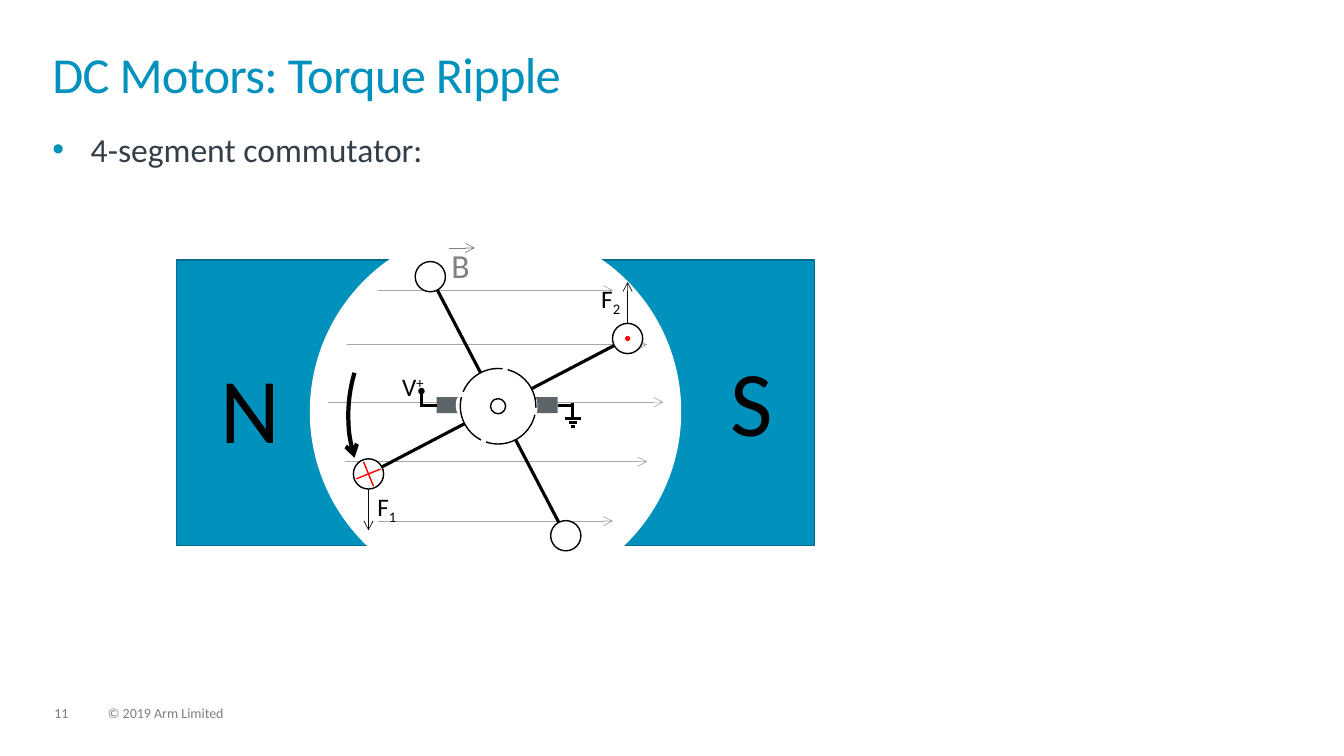
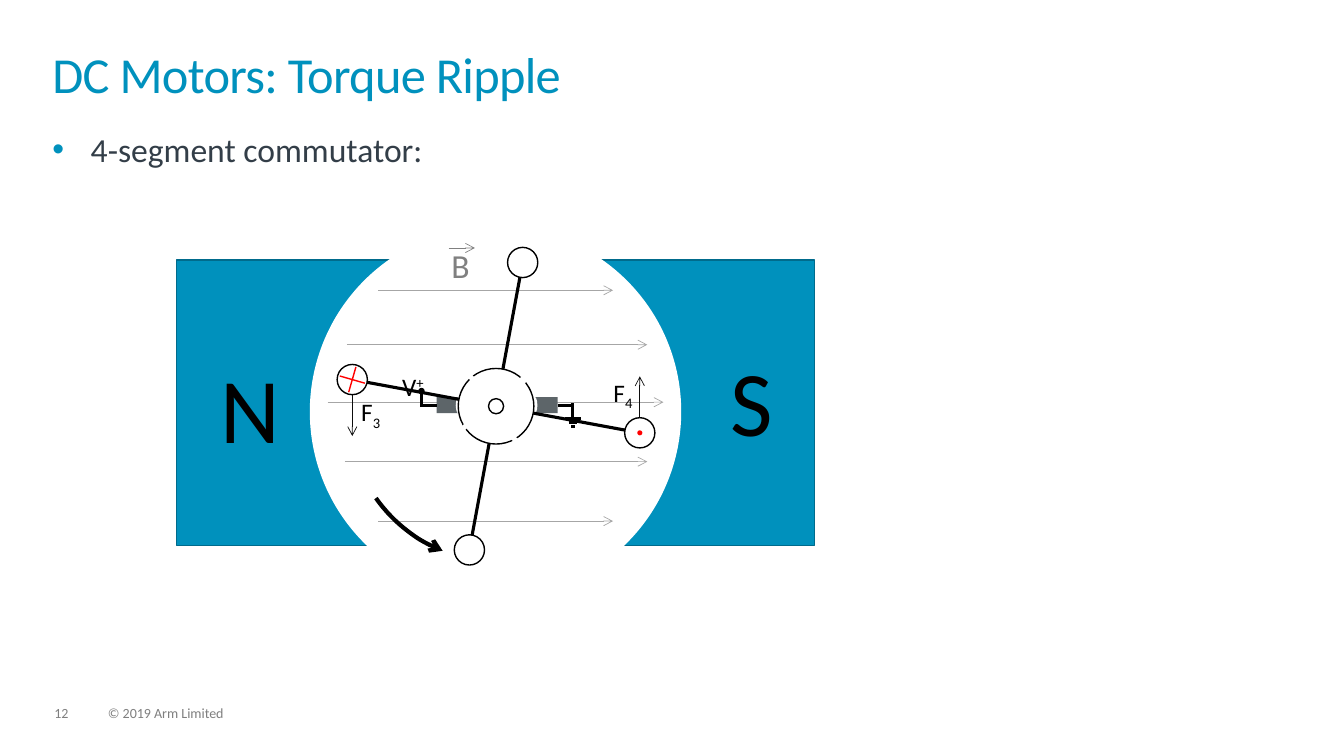
import math
from dataclasses import dataclass

import pptx
import pptx.dml.color
import pptx.enum.shapes
import pptx.enum.text
import pptx.oxml.ns
import pptx.util
from lxml import etree

EMU_PER_PX = 9144  # 100 px to the inch
SHAPE = pptx.enum.shapes.MSO_SHAPE
ALIGN = pptx.enum.text.PP_ALIGN
ANCHOR = pptx.enum.text.MSO_ANCHOR
LEFT_SIDE, RIGHT_SIDE = 1, 3


@dataclass(frozen=True)
class Theme:
    font: str = "Calibri"
    accent: str = "0091BD"
    magnet_edge: str = "006B8C"
    body: str = "333E48"
    footer: str = "7F7F7F"
    ink: str = "000000"
    paper: str = "FFFFFF"
    field: str = "A6A6A6"
    field_label: str = "808080"
    force: str = "0D0D0D"
    brush: str = "5D6569"
    current: str = "FF0000"
    title_size: int = 36
    body_size: int = 24
    footer_size: int = 10
    pole_size: int = 66
    label_size: int = 18
    hairline: float = 0.5
    outline: float = 1
    wire: float = 2.25
    turn_arrow: float = 3


@dataclass(frozen=True)
class RotorState:
    axis_x: int        # shaft position within the motor box
    coil_angle: float  # degrees, clockwise from the right
    ring_angle: float
    left_force: str
    right_force: str


THEME = Theme()


def px(length):
    return pptx.util.Emu(round(length * EMU_PER_PX))


def rgb(value):
    return pptx.dml.color.RGBColor.from_string(value)


def polar(centre, radius, degrees):
    angle = math.radians(degrees)
    return (centre[0] + radius * math.cos(angle),
            centre[1] + radius * math.sin(angle))


def add_run(paragraph, text, size, color, **attributes):
    run = paragraph.add_run()
    run.text = text
    run.font.name = THEME.font
    run.font.size = pptx.util.Pt(size)
    run.font.color.rgb = rgb(color)
    for name, value in attributes.items():
        run._r.get_or_add_rPr().set(name, str(value))


class Region:
    """Draws parts relative to the top left corner of a box."""

    def __init__(self, slide, left, top):
        self.shapes, self.left, self.top = slide.shapes, left, top

    def place(self, x, y):
        return px(self.left + x), px(self.top + y)

    def shape(self, kind, x, y, width, height, fill=None, line=None,
              weight=THEME.outline, rotation=0):
        part = self.shapes.add_shape(kind, *self.place(x, y), px(width), px(height))
        part.shadow.inherit = False
        part.rotation = rotation
        if fill:
            part.fill.solid()
            part.fill.fore_color.rgb = rgb(fill)
        else:
            part.fill.background()
        if line:
            part.line.color.rgb = rgb(line)
            part.line.width = pptx.util.Pt(weight)
        else:
            part.line.fill.background()
        return part

    def disc(self, centre, radius, fill=THEME.paper, line=THEME.ink):
        x, y = centre
        return self.shape(SHAPE.OVAL, x - radius, y - radius,
                          2 * radius, 2 * radius, fill, line)

    def line(self, start, end, color=THEME.ink, weight=THEME.wire, arrow=False):
        stroke = self.shapes.add_connector(
            pptx.enum.shapes.MSO_CONNECTOR.STRAIGHT,
            *self.place(*start), *self.place(*end))
        stroke.line.color.rgb = rgb(color)
        stroke.line.width = pptx.util.Pt(weight)
        if arrow:
            add_arrowhead(stroke, "tailEnd")
        etree.SubElement(stroke._element.spPr, pptx.oxml.ns.qn("a:effectLst"))
        return stroke

    def text(self, x, y, width, height, inset=True):
        box = self.shapes.add_textbox(*self.place(x, y), px(width), px(height))
        frame = box.text_frame
        frame.word_wrap = True
        if not inset:
            frame.margin_left = frame.margin_right = 0
            frame.margin_top = frame.margin_bottom = 0
        return frame.paragraphs[0]

    def symbol(self, x, y, width, letter, index, baseline):
        label = self.text(x, y, width, 40)
        add_run(label, letter, THEME.label_size, THEME.ink)
        add_run(label, index, THEME.label_size, THEME.ink, baseline=baseline)


def add_arrowhead(part, end):
    etree.SubElement(part.line._get_or_add_ln(),
                     pptx.oxml.ns.qn("a:" + end), type="arrow")


# Slide frame: title, bullet and footer
def draw_frame(slide, number):
    page = Region(slide, 0, 0)
    for x, width, text in ((54, 34, str(number)), (107, 171, "© 2019 Arm Limited")):
        footer = page.text(x, 701, width, 15, inset=False)
        footer.line_spacing = 0.9
        add_run(footer, text, THEME.footer_size, THEME.footer)

    title = page.text(52, 52, 1228, 72, inset=False)
    title.line_spacing = 0.85
    add_run(title, "DC Motors: Torque Ripple", THEME.title_size, THEME.accent, spc=-50)

    bullet = page.text(52, 128, 1228, 447, inset=False)
    properties = bullet._p.get_or_add_pPr()
    properties.set("marL", str(px(38)))
    properties.set("indent", str(px(-38)))
    bullet_color = etree.SubElement(properties, pptx.oxml.ns.qn("a:buClr"))
    etree.SubElement(bullet_color, pptx.oxml.ns.qn("a:srgbClr"), val=THEME.accent)
    etree.SubElement(properties, pptx.oxml.ns.qn("a:buFont"), typeface="Arial")
    etree.SubElement(properties, pptx.oxml.ns.qn("a:buChar"), char="•")
    add_run(bullet, "4-segment commutator:", THEME.body_size, THEME.body)


# Magnet with its poles and field lines
def draw_magnet(motor):
    motor.shape(SHAPE.RECTANGLE, 0, 33, 633, 283, THEME.accent, THEME.magnet_edge)
    motor.shape(SHAPE.OVAL, 133, 0, 367, 367, THEME.paper, THEME.paper)
    for y, start, end in ((63, 200, 433), (117, 169, 467), (174, 150, 483),
                          (233, 167, 467), (292, 200, 433)):
        motor.line((start, y), (end, y), THEME.field, THEME.hairline, arrow=True)
    for name, x, y in (("N", 34, 116), ("S", 537, 109)):
        pole = motor.shape(SHAPE.RECTANGLE, x, y, 68, 125, THEME.accent)
        frame = pole.text_frame
        frame.word_wrap = True
        frame.vertical_anchor = ANCHOR.MIDDLE
        frame.paragraphs[0].alignment = ALIGN.CENTER
        add_run(frame.paragraphs[0], name, THEME.pole_size, THEME.ink)


# Field vector label
def draw_field_label(motor):
    add_run(motor.text(263, 13, 43, 50), "B", THEME.body_size, THEME.field_label)
    motor.line((270, 21), (296, 21), THEME.field_label, THEME.hairline, arrow=True)


# Brushes, supply terminal and ground
def draw_supply(motor):
    axis, supply_x, ground_x = 177, 243, 393
    for x, hollow_x, side, edge, lead_x in (
            (356, 353, RIGHT_SIDE, 378, ground_x),
            (258, 277, LEFT_SIDE, 258, supply_x)):
        brush = motor.shape(SHAPE.RECTANGLE, x, axis - 8, 22, 16, THEME.brush)
        motor.shape(SHAPE.OVAL, hollow_x, axis - 8, 5, 16, THEME.paper)
        lead = motor.line((edge, axis), (lead_x, axis))
        lead.begin_connect(brush, side)

    motor.symbol(214, 138, 70, "V", "+", 30000)
    motor.line((supply_x, axis + 2), (supply_x, axis - 13))
    motor.disc((supply_x, axis - 14), 2.5, THEME.ink)

    motor.line((ground_x, axis - 2), (ground_x, axis + 13))
    for step, half in enumerate((8, 4, 2)):
        y = axis + 13 + 4 * step
        motor.line((ground_x + half, y), (ground_x - half, y))


# Force arrows beside the two live conductors
def draw_forces(motor, state, left, right):
    for (x, y), sign, index, dx, dy in (
            (left, 1, state.left_force, -1, 12),
            (right, -1, state.right_force, -36, -60)):
        motor.line((x, y + sign * 15), (x, y + sign * 56),
                   THEME.force, THEME.hairline, arrow=True)
        motor.symbol(x + dx, y + dy, 44, "F", index, -25000)


# Coils, current marks, commutator ring and turning arrow
def draw_rotor(motor, state, axis, ends):
    right, bottom, left, top = ends
    for start, end in ((left, right), (bottom, top)):
        motor.line(start, end)
        for conductor in (start, end):
            motor.disc(conductor, 15)

    for quarter in (0, 90):
        angle = state.coil_angle + 5.5 + quarter
        motor.line(polar(left, 13, angle + 180), polar(left, 13, angle),
                   THEME.current, THEME.outline)
    motor.disc(right, 2.5, THEME.current, None)

    motor.disc(axis, 37.5)
    for offset, radius, width, height, turn in (
            (105, 37, 5, 22, 0), (190, 39, 5, 22, 90),
            (0, 33, 7, 12, 90), (273, 39, 5, 22, 0)):
        x, y = polar(axis, radius, state.ring_angle + offset)
        motor.shape(SHAPE.RECTANGLE, x - width / 2, y - height / 2, width, height,
                    THEME.paper, rotation=state.ring_angle + turn)
    motor.disc(axis, 7.5)

    turning = motor.shape(SHAPE.ARC, 171, 38, 289, 294, line=THEME.ink,
                          weight=THEME.turn_arrow, rotation=state.ring_angle + 200.5)
    turning.adjustments[0] = 188.5
    turning.adjustments[1] = 208.76
    add_arrowhead(turning, "headEnd")


def draw_motor(slide, left, top, state):
    motor = Region(slide, left, top)
    axis = (state.axis_x, 178)
    ends = [polar(axis, 145, state.coil_angle + 90 * quarter) for quarter in range(4)]
    draw_magnet(motor)
    draw_forces(motor, state, left=ends[2], right=ends[0])
    draw_field_label(motor)
    draw_supply(motor)
    draw_rotor(motor, state, axis, ends)


def main():
    deck = pptx.Presentation()
    deck.slide_width, deck.slide_height = px(1333), px(750)
    states = (RotorState(319, -27.6, 7.7, "1", "2"),
              RotorState(317, 10.5, -44, "3", "4"))
    for number, state in enumerate(states, start=11):
        slide = deck.slides.add_slide(deck.slide_layouts[6])
        draw_frame(slide, number)
        draw_motor(slide, 175, 225, state)
    deck.save("out.pptx")


if __name__ == "__main__":
    main()
